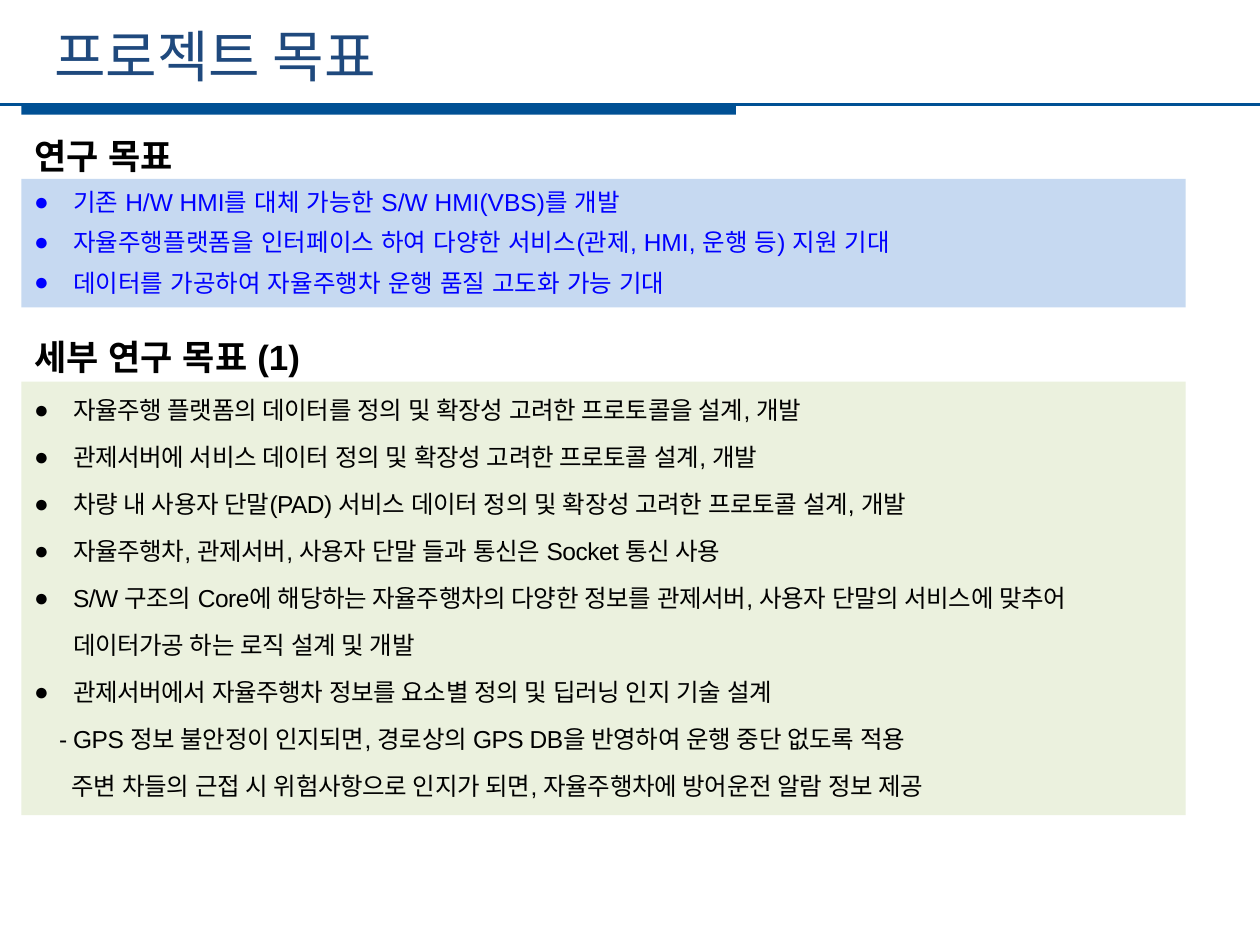
from pptx import Presentation
from pptx import util as u
from pptx.dml import color
from pptx.enum import shapes, text
from pptx.oxml import ns
from lxml import etree

GOALS = [
    "기존 H/W HMI를 대체 가능한 S/W HMI(VBS)를 개발",
    "자율주행플랫폼을 인터페이스 하여 다양한 서비스(관제, HMI, 운행 등) 지원 기대",
    "데이터를 가공하여 자율주행차 운행 품질 고도화 가능 기대",
]
DETAILS = [
    "자율주행 플랫폼의 데이터를 정의 및 확장성 고려한 프로토콜을 설계, 개발",
    "관제서버에 서비스 데이터 정의 및 확장성 고려한 프로토콜 설계, 개발",
    "차량 내 사용자 단말(PAD) 서비스 데이터 정의 및 확장성 고려한 프로토콜 설계, 개발",
    "자율주행차, 관제서버, 사용자 단말 들과 통신은 Socket 통신 사용",
    "S/W 구조의 Core에 해당하는 자율주행차의 다양한 정보를 관제서버, 사용자 단말의 "
    "서비스에 맞추어 데이터가공 하는 로직 설계 및 개발",
    "관제서버에서 자율주행차 정보를 요소별 정의 및 딥러닝 인지 기술 설계",
]
GPS_NOTE = "- GPS 정보 불안정이 인지되면, 경로상의 GPS DB을 반영하여 운행 중단 없도록 적용"
NEARBY_NOTE = "주변 차들의 근접 시 위험사항으로 인지가 되면, 자율주행차에 방어운전 알람 정보 제공"


def rgb(value):
    return color.RGBColor.from_string(value)


def place(shape, left, top, width, height):
    shape.left, shape.top = u.Inches(left), u.Inches(top)
    shape.width, shape.height = u.Inches(width), u.Inches(height)


def add_panel(slide, left, top, width, height, fill):
    """Add a plain rectangle behind the text."""
    panel = slide.shapes.add_shape(
        shapes.MSO_SHAPE.RECTANGLE, *map(u.Inches, (left, top, width, height)))
    panel.shadow.inherit = False
    panel.fill.solid()
    panel.fill.fore_color.rgb = rgb(fill)
    panel.line.fill.background()
    slide.shapes.element.insert(2, panel.element)


def prepare_frame(shape, anchor):
    frame = shape.text_frame
    frame.word_wrap = True
    frame.auto_size = text.MSO_AUTO_SIZE.NONE
    frame.vertical_anchor = anchor
    return frame


def write(paragraph, words, size=14, font="Arial", fill="000000", bold=False,
          spacing=None, before=0, left=0, bullet=None, tracking=0):
    """Fill one paragraph and format it."""
    paragraph.alignment = text.PP_ALIGN.LEFT
    paragraph.space_before = u.Pt(before)
    paragraph.line_spacing = spacing
    properties = paragraph._p.get_or_add_pPr()
    properties.set("marL", str(u.Inches(left)))
    properties.set("indent", str(u.Inches(-left if bullet else 0)))
    if bullet:
        etree.SubElement(properties, ns.qn("a:buChar"), char=bullet)
    else:
        etree.SubElement(properties, ns.qn("a:buNone"))
    run = paragraph.add_run()
    run.text = words
    run.font.size, run.font.bold, run.font.name = u.Pt(size), bold, font
    run.font.color.rgb = rgb(fill)
    run_properties = run.font._element
    etree.SubElement(run_properties, ns.qn("a:ea"), typeface=font)
    if tracking:
        run_properties.set("spc", str(round(tracking * 100)))


def build_header(slide, left, top, width, height):
    # Title
    title = slide.shapes.title
    place(title, left + 0.33, top + 0.12, 8.96, 0.64)
    frame = prepare_frame(title, text.MSO_ANCHOR.MIDDLE)
    write(frame.paragraphs[0], "프로젝트 목표", size=32,
          font="Noto Sans CJK KR", fill="1F497D")
    # Rule and thick bar
    rule_y = top + height - 0.08
    add_panel(slide, left + 0.17, rule_y, 5.67, 0.08, "005094")
    rule = slide.shapes.add_connector(
        shapes.MSO_CONNECTOR.STRAIGHT, u.Inches(left), u.Inches(rule_y),
        u.Inches(left + width), u.Inches(rule_y))
    rule.line.color.rgb = rgb("005094")
    rule.line.width = u.Pt(1.25)
    etree.SubElement(rule.element.spPr, ns.qn("a:effectLst"))


def build_goals(slide, left, top, width, height):
    # Coloured panels
    add_panel(slide, left, top + 0.39, width, 1.02, "C6D9F1")
    add_panel(slide, left, top + 2, width, 3.44, "EBF1DE")
    # Headings and lists
    body = slide.placeholders[1]
    place(body, left, top, 8.92, height)
    frame = prepare_frame(body, text.MSO_ANCHOR.TOP)
    pitch = u.Pt(23)
    heading = dict(size=20, bold=True, spacing=pitch)
    goal = dict(fill="0000FF", spacing=pitch, left=0.31, bullet="●")
    note = dict(spacing=1.6, tracking=-0.3)
    detail = dict(note, left=0.31, bullet="●")
    lines = [("연구 목표", heading)]
    lines += [(words, goal) for words in GOALS]
    lines += [("세부 연구 목표 (1)", dict(heading, before=23))]
    lines += [(words, detail) for words in DETAILS]
    lines += [(GPS_NOTE, dict(note, left=0.2)), (NEARBY_NOTE, dict(note, left=0.3))]
    for index, (words, style) in enumerate(lines):
        paragraph = frame.add_paragraph() if index else frame.paragraphs[0]
        write(paragraph, words, **style)


presentation = Presentation()
presentation.slide_width, presentation.slide_height = u.Inches(10), u.Inches(7.5)
slide = presentation.slides.add_slide(presentation.slide_layouts[1])
build_header(slide, 0, 0, 10, 0.91)
build_goals(slide, 0.17, 1.03, 9.24, 5.38)
presentation.save("out.pptx")
